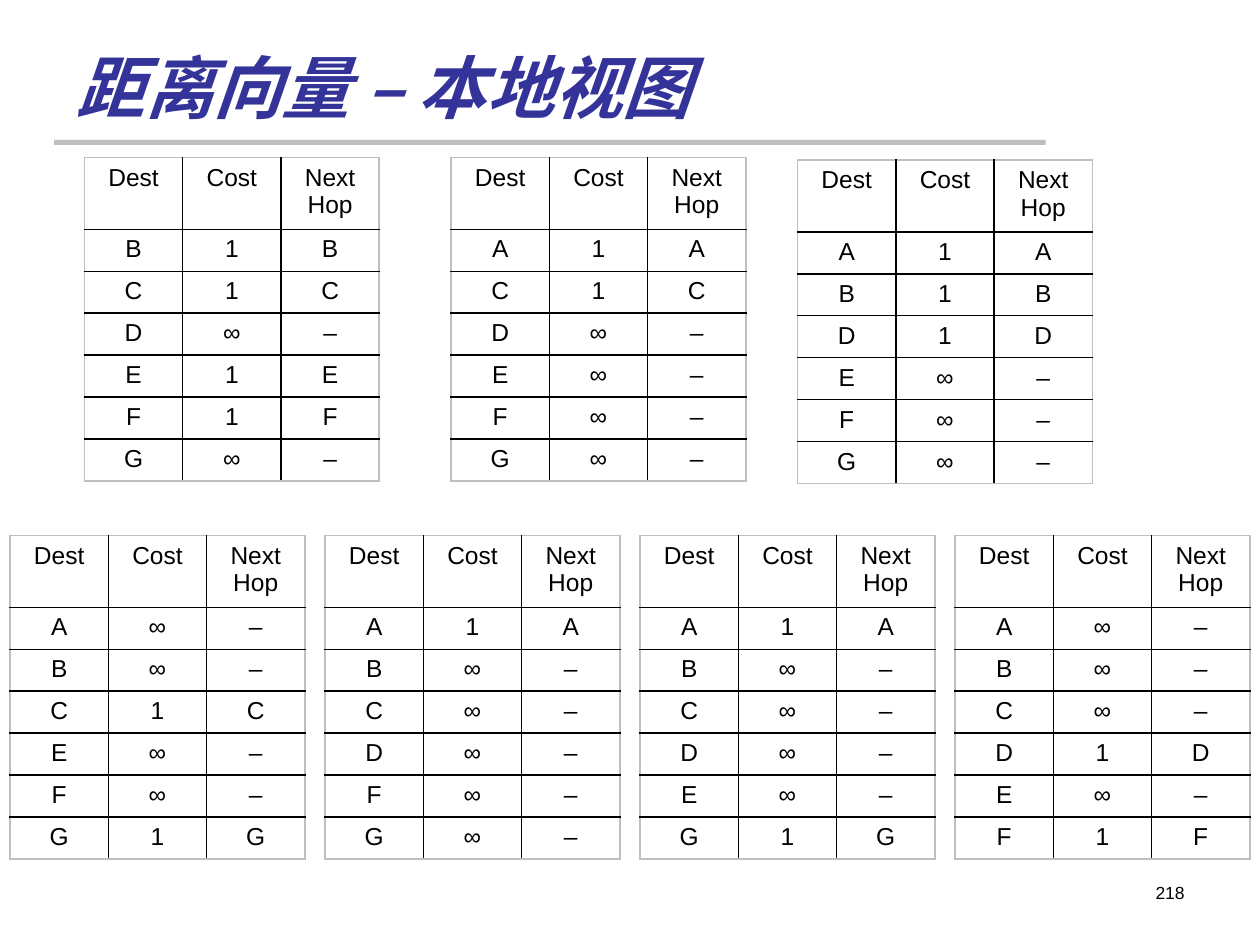
from lxml.etree import SubElement as Sub
from pptx import Presentation as Deck
from pptx.dml.color import RGBColor as Color
from pptx.enum.shapes import MSO_SHAPE as Kind
from pptx.enum.text import MSO_ANCHOR as Anchor, MSO_AUTO_SIZE as Fit, PP_ALIGN as Align
from pptx.oxml.ns import qn
from pptx.util import Inches, Pt

TITLE = "距离向量 – 本地视图"
PAGE = "218"
HEAD = ("Dest", "Cost", "Next Hop")
NODES = "ABCDEFG"
LINKS = {"A": "BCEF", "B": "AC", "C": "ABD", "D": "CG", "E": "A", "F": "AG", "G": "DF"}
SPOTS = {"A": (0.67, 1.25), "B": (3.58, 1.25), "C": (6.33, 1.27)}
SPOTS.update({node: (0.08 + 2.5 * i, 4.25) for i, node in enumerate("DEFG")})

THEME = {
    "title": ("Calibri", 39, "333399"),
    "cell": ("Arial", 14, "000000"),
    "page": ("Arial", 10, "000000"),
    "bar": "BFBFBF",
    "edge": "BFBFBF",
    "grid": "000000",
}
COL, TOP, ROW = 0.78, 0.57, 1 / 3


def style(para, role, align):
    """Format a paragraph by its role in the theme."""
    font = para.font
    font.name, size, tint = THEME[role]
    font.size = Pt(size)
    font.color.rgb = Color.from_string(tint)
    para.alignment = align


def border(cell, side, tint):
    """Draw one side of a cell as a thin line."""
    line = Sub(cell._tc.get_or_add_tcPr(), qn(f"a:{side}"), w=str(Pt(1)))
    Sub(Sub(line, qn("a:solidFill")), qn("a:srgbClr"), val=tint)


def routes(node):
    """List the table rows that a node knows at the start."""
    return [HEAD] + [
        (dest, "1", dest) if dest in LINKS[node] else (dest, "∞", "–")
        for dest in NODES if dest != node
    ]


def add_routes(slide, node):
    """Add the routing table of one node."""
    rows = routes(node)
    last, end = len(rows) - 1, len(HEAD) - 1
    x, y = SPOTS[node]
    frame = slide.shapes.add_table(
        len(rows), len(HEAD), Inches(x), Inches(y),
        Inches(COL * len(HEAD)), Inches(TOP + ROW * last))
    table = frame.table
    table.first_row = table.horz_banding = False
    for col in table.columns:
        col.width = Inches(COL)
    for r, row in enumerate(rows):
        table.rows[r].height = Inches(ROW if r else TOP)
        for c, text in enumerate(row):
            cell = table.cell(r, c)
            cell.text = text
            style(cell.text_frame.paragraphs[0], "cell", Align.CENTER)
            outer = {"lnL": c == 0, "lnR": c == end, "lnT": r == 0, "lnB": r == last}
            for side, edge in outer.items():
                border(cell, side, THEME["edge" if edge else "grid"])
            cell.fill.background()


def main():
    """Build the slide and save it."""
    deck = Deck()
    deck.slide_width, deck.slide_height = Inches(10), Inches(7.5)
    slide = deck.slides.add_slide(deck.slide_layouts[5])

    bar = slide.shapes.add_shape(
        Kind.RECTANGLE, Inches(0.43), Inches(1.11), Inches(7.87), Inches(0.04))
    bar.shadow.inherit = False
    bar.fill.solid()
    bar.fill.fore_color.rgb = Color.from_string(THEME["bar"])
    bar.line.fill.background()

    title = slide.shapes.title
    title.left, title.top = Inches(0.51), Inches(0.28)
    title.width, title.height = Inches(8.25), Inches(0.78)
    frame = title.text_frame
    frame.text = TITLE
    frame.auto_size, frame.vertical_anchor = Fit.NONE, Anchor.BOTTOM
    para = frame.paragraphs[0]
    style(para, "title", Align.LEFT)
    para.font.bold = para.font.italic = True

    for node in NODES:
        add_routes(slide, node)

    page = slide.shapes.add_textbox(Inches(7.17), Inches(6.95), Inches(2.33), Inches(0.4))
    page.text_frame.word_wrap = True
    page.text_frame.text = PAGE
    style(page.text_frame.paragraphs[0], "page", Align.RIGHT)

    deck.save("out.pptx")


if __name__ == "__main__":
    main()
